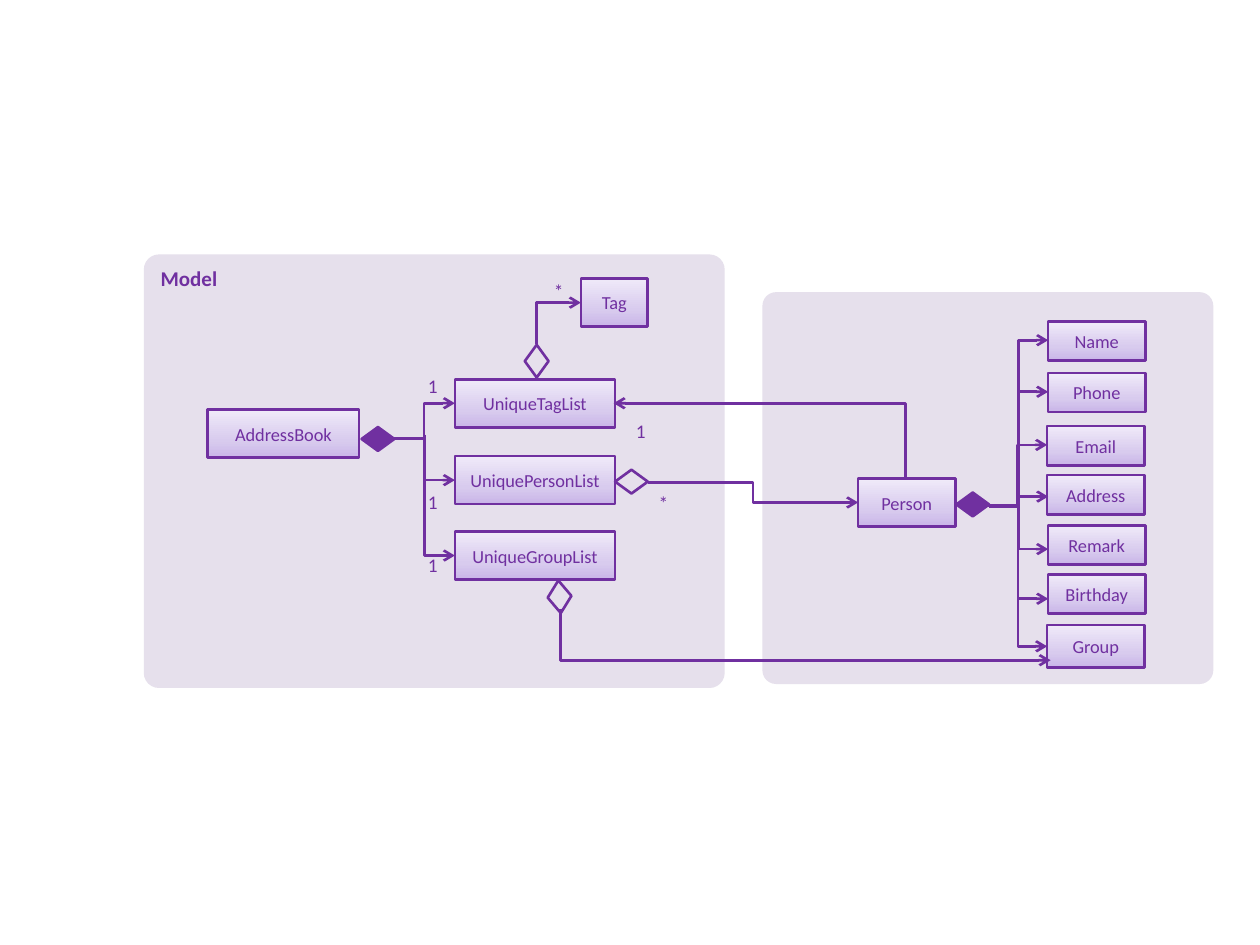
"""Draw the class diagram of the address book model."""
from copy import deepcopy
from dataclasses import dataclass
from enum import Enum

from pptx import Presentation
from pptx import util as u
from pptx.dml.color import RGBColor
from pptx.enum import shapes, text
from pptx.oxml import ns
from pptx.oxml import xmlchemy as xml

PURPLE = RGBColor(0x70, 0x30, 0xA0)
LAVENDER = RGBColor(0xE6, 0xE0, 0xEC)
GRADIENT = (
    (0.0, RGBColor(0xC9, 0xB5, 0xE8)),
    (0.35, RGBColor(0xD8, 0xCB, 0xEE)),
    (1.0, RGBColor(0xF0, 0xEA, 0xF9)),
)
FONT = "Calibri"
LINE_WIDTH = u.Pt(1.5)
CLASS_HEIGHT = 0.97
LIST_LEFT, LIST_WIDTH = 9.17, 3.23
FIELD_WIDTH, FIELD_HEIGHT = 1.96, 0.79


class Route(Enum):
    STRAIGHT = "line"
    MIDWAY = "bentConnector3"
    VERTICAL_FIRST = "bentConnector2"


@dataclass
class Panel:
    left: float
    top: float
    width: float
    height: float
    title: str = ""


@dataclass
class ClassBox:
    name: str
    left: float
    top: float
    width: float
    height: float = CLASS_HEIGHT


@dataclass
class Diamond:
    left: float
    top: float
    filled: bool = False
    rotation: float = 0


@dataclass
class Link:
    x1: float
    y1: float
    x2: float
    y2: float
    route: Route = Route.MIDWAY


@dataclass
class Multiplicity:
    mark: str
    left: float
    top: float


@dataclass
class Field:
    name: str
    left: float
    top: float
    height: float = FIELD_HEIGHT


PANELS = [
    Panel(15.37, 5.89, 9.09, 7.9),
    Panel(2.9, 5.13, 11.71, 8.74, "Model"),
]
FIELDS = [
    Field("Name", 21.13, 6.48),
    Field("Phone", 21.13, 7.52),
    Field("Email", 21.11, 8.59),
    Field("Address", 21.11, 9.58),
    Field("Remark", 21.13, 10.59),
    Field("Birthday", 21.13, 11.58),
    Field("Group", 21.11, 12.6, 0.86),
]
CLASSES = [
    ClassBox("AddressBook", 4.19, 8.26, 3.05),
    ClassBox("UniqueTagList", LIST_LEFT, 7.65, LIST_WIDTH),
    ClassBox("UniquePersonList", LIST_LEFT, 9.19, LIST_WIDTH),
    ClassBox("UniqueGroupList", LIST_LEFT, 10.72, LIST_WIDTH),
    ClassBox("Tag", 11.71, 5.61, 1.35),
    ClassBox("Person", 17.3, 9.65, FIELD_WIDTH),
] + [ClassBox(f.name, f.left, f.top, FIELD_WIDTH, f.height) for f in FIELDS]
DIAMONDS = [
    Diamond(7.29, 8.61, filled=True),
    Diamond(19.28, 9.93, filled=True),
    Diamond(12.4, 9.47),
    Diamond(10.49, 7.04, rotation=270),
    Diamond(10.95, 11.79, rotation=85.6),
]
LINKS = [
    Link(7.92, 8.84, LIST_LEFT, 9.68),
    Link(7.92, 8.84, LIST_LEFT, 8.13),
    Link(8.56, 8.76, LIST_LEFT, 11.2, Route.VERTICAL_FIRST),
    Link(13.06, 9.73, 17.3, 10.13),
    Link(10.82, 6.93, 11.71, 6.1, Route.VERTICAL_FIRST),
    Link(18.26, 9.65, 12.37, 8.13, Route.VERTICAL_FIRST),
    Link(19.94, 10.21, 21.13, 6.86),
    Link(19.94, 10.21, 21.13, 7.9),
    Link(19.91, 10.19, 21.11, 8.97),
    Link(20.52, 10.01, 21.13, 10.01, Route.STRAIGHT),
    Link(19.94, 10.21, 21.13, 11.07),
    Link(20.52, 12.07, 21.13, 12.07, Route.STRAIGHT),
    Link(20.52, 10.39, 21.11, 13.03, Route.VERTICAL_FIRST),
    Link(11.3, 12.27, 21.18, 13.31, Route.VERTICAL_FIRST),
]
MULTIPLICITIES = [
    Multiplicity("1", 8.46, 7.54),
    Multiplicity("1", 8.46, 9.88),
    Multiplicity("1", 8.46, 11.15),
    Multiplicity("1", 12.65, 8.46),
    Multiplicity("*", 11.0, 5.64),
    Multiplicity("*", 13.11, 9.91),
]


def write(box, words: str, size: float, align, bold: bool = False) -> None:
    """Put one purple paragraph in a box."""
    box.text_frame.word_wrap = True
    para = box.text_frame.paragraphs[0]
    para.text = words
    para.alignment = align
    for span in para.runs:
        span.font.name = FONT
        span.font.size = u.Pt(size)
        span.font.bold = bold
        span.font.color.rgb = PURPLE


def add_outlined(page, kind, left: float, top: float, width: float, height: float):
    """Add a shape with a purple outline and no shadow."""
    box = page.shapes.add_shape(kind, u.Cm(left), u.Cm(top), u.Cm(width), u.Cm(height))
    box.shadow.inherit = False
    box.line.color.rgb = PURPLE
    box.line.width = LINE_WIDTH
    return box


def draw_panel(page, panel: Panel) -> None:
    """Draw a rounded background panel with its title."""
    box = add_outlined(page, shapes.MSO_SHAPE.ROUNDED_RECTANGLE,
                       panel.left, panel.top, panel.width, panel.height)
    box.adjustments[0] = 0.035
    box.fill.solid()
    box.fill.fore_color.rgb = LAVENDER
    box.line.fill.background()
    if panel.title:
        box.text_frame.vertical_anchor = text.MSO_ANCHOR.TOP
        write(box, panel.title, 12, text.PP_ALIGN.LEFT, bold=True)


def draw_class(page, item: ClassBox) -> None:
    """Draw a class box with a gradient that lightens upwards."""
    box = add_outlined(page, shapes.MSO_SHAPE.RECTANGLE,
                       item.left, item.top, item.width, item.height)
    box.fill.gradient()
    box.fill.gradient_angle = 90
    stop_list = box._element.spPr.find(".//" + ns.qn("a:gsLst"))
    stop_list.append(deepcopy(stop_list[-1]))
    for stop, (position, color) in zip(box.fill.gradient_stops, GRADIENT):
        stop.position = position
        stop.color.rgb = color
    box.text_frame.vertical_anchor = text.MSO_ANCHOR.MIDDLE
    write(box, item.name, 10.5, text.PP_ALIGN.CENTER)


def draw_diamond(page, diamond: Diamond) -> None:
    """Draw a composition or aggregation diamond."""
    box = add_outlined(page, shapes.MSO_SHAPE.FLOWCHART_DECISION,
                       diamond.left, diamond.top, 0.66, 0.48)
    box.rotation = diamond.rotation
    if diamond.filled:
        box.fill.solid()
        box.fill.fore_color.rgb = PURPLE
    else:
        box.fill.background()


def draw_link(page, link: Link) -> None:
    """Draw an arrow along the route of a link."""
    x1, y1, x2, y2 = link.x1, link.y1, link.x2, link.y2
    downward = y2 > y1
    turned = link.route is Route.VERTICAL_FIRST
    if turned:
        middle_x, middle_y = (x1 + x2) / 2, (y1 + y2) / 2
        half_width, half_height = abs(y2 - y1) / 2, abs(x2 - x1) / 2
        if (x2 > x1) == downward:
            half_height = -half_height
        x1, x2 = middle_x - half_width, middle_x + half_width
        y1, y2 = middle_y - half_height, middle_y + half_height
    kind = shapes.MSO_CONNECTOR.STRAIGHT if link.route is Route.STRAIGHT else shapes.MSO_CONNECTOR.ELBOW
    arrow = page.shapes.add_connector(kind, u.Cm(x1), u.Cm(y1), u.Cm(x2), u.Cm(y2))
    properties = arrow._element.spPr
    if turned:
        properties.find(ns.qn("a:prstGeom")).set("prst", link.route.value)
        properties.find(ns.qn("a:xfrm")).set("rot", str((90 if downward else 270) * 60000))
    arrow.line.color.rgb = PURPLE
    arrow.line.width = LINE_WIDTH
    outline = properties.find(ns.qn("a:ln"))
    outline.append(xml.OxmlElement("a:tailEnd"))
    outline[-1].set("type", "arrow")
    properties.append(xml.OxmlElement("a:effectLst"))


def draw_multiplicity(page, item: Multiplicity) -> None:
    """Write a multiplicity mark beside a link."""
    box = page.shapes.add_textbox(u.Cm(item.left), u.Cm(item.top), u.Cm(0.53), u.Cm(0.51))
    frame = box.text_frame
    frame.margin_left = frame.margin_right = frame.margin_top = frame.margin_bottom = 0
    write(box, item.mark, 11, text.PP_ALIGN.CENTER)


def main() -> None:
    """Build and save the deck."""
    deck = Presentation()
    deck.slide_width, deck.slide_height = u.Cm(25.4), u.Cm(19.05)
    page = deck.slides.add_slide(deck.slide_layouts[6])
    for draw, items in (
        (draw_panel, PANELS),
        (draw_class, CLASSES),
        (draw_diamond, DIAMONDS),
        (draw_link, LINKS),
        (draw_multiplicity, MULTIPLICITIES),
    ):
        for item in items:
            draw(page, item)
    deck.save("out.pptx")


if __name__ == "__main__":
    main()
